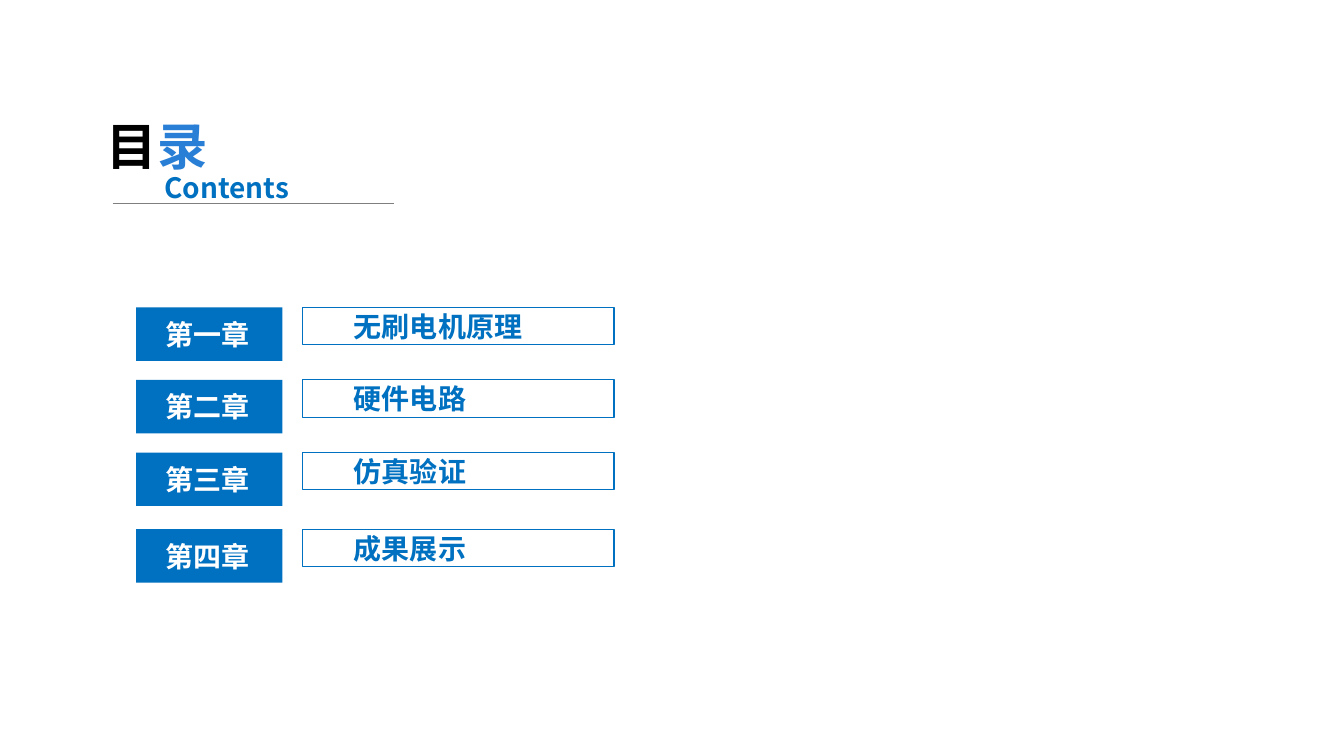
from dataclasses import dataclass

import pptx
import pptx.dml.color
import pptx.enum.shapes
import pptx.enum.text
import pptx.oxml.ns
import pptx.shapes.autoshape
import pptx.slide
import pptx.text.text
import pptx.util
from lxml import etree
from pptx.util import Inches

BLUE = pptx.dml.color.RGBColor(0x00, 0x70, 0xC0)
LIGHT_BLUE = pptx.dml.color.RGBColor(0x29, 0x7F, 0xD5)
GRAY = pptx.dml.color.RGBColor(0x7F, 0x7F, 0x7F)
BLACK = pptx.dml.color.RGBColor(0x00, 0x00, 0x00)
WHITE = pptx.dml.color.RGBColor(0xFF, 0xFF, 0xFF)
FONT = "Noto Sans CJK SC"


@dataclass(frozen=True)
class Chapter:
    number: str
    topic: str
    top: float


CHAPTERS = [
    Chapter("第一章", "无刷电机原理", 3.05),
    Chapter("第二章", "硬件电路", 3.77),
    Chapter("第三章", "仿真验证", 4.49),
    Chapter("第四章", "成果展示", 5.25),
]


def format_paragraph(
    paragraph: pptx.text.text._Paragraph,
    size: int,
    color: pptx.dml.color.RGBColor,
) -> None:
    """Left-align the paragraph and set its font for Latin and Chinese text."""
    paragraph.alignment = pptx.enum.text.PP_ALIGN.LEFT
    font = paragraph.font
    font.size = pptx.util.Pt(size)
    font.bold = True
    font.color.rgb = color
    font.name = FONT
    defaults = paragraph._p.pPr.find(pptx.oxml.ns.qn("a:defRPr"))
    etree.SubElement(defaults, pptx.oxml.ns.qn("a:ea"), typeface=FONT)


def add_box(
    slide: pptx.slide.Slide,
    text: str,
    left: float,
    top: float,
    width: float,
    height: float,
    indent: float,
    color: pptx.dml.color.RGBColor,
) -> pptx.shapes.autoshape.Shape:
    """Add a rectangle with vertically centred text, indented from the left."""
    box = slide.shapes.add_shape(
        pptx.enum.shapes.MSO_SHAPE.RECTANGLE,
        Inches(left), Inches(top), Inches(width), Inches(height),
    )
    box.shadow.inherit = False
    frame = box.text_frame
    frame.word_wrap = True
    frame.vertical_anchor = pptx.enum.text.MSO_ANCHOR.MIDDLE
    frame.margin_left = Inches(indent)
    frame.margin_right = frame.margin_top = frame.margin_bottom = 0
    frame.text = text
    format_paragraph(frame.paragraphs[0], 20, color)
    return box


def add_chapter(slide: pptx.slide.Slide, chapter: Chapter) -> None:
    """Add the filled number box and the outlined topic box of a chapter."""
    topic = add_box(slide, chapter.topic, 3, chapter.top, 3.09, 0.37, 0.51, BLUE)
    topic.fill.background()
    topic.line.color.rgb = BLUE
    topic.line.width = pptx.util.Pt(0.75)

    number = add_box(slide, chapter.number, 1.35, chapter.top, 1.45, 0.53, 0.29, WHITE)
    number.fill.solid()
    number.fill.fore_color.rgb = BLUE
    number.line.fill.background()


def add_heading(slide: pptx.slide.Slide) -> None:
    """Add the two-colour title, its English subtitle and the rule below."""
    title = slide.shapes.title
    title.left, title.top = Inches(0.96), Inches(1.09)
    title.width, title.height = Inches(1.57), Inches(0.71)
    title.text_frame.auto_size = pptx.enum.text.MSO_AUTO_SIZE.NONE
    title.text_frame.vertical_anchor = pptx.enum.text.MSO_ANCHOR.TOP
    paragraph = title.text_frame.paragraphs[0]
    for character, color in (("目", BLACK), ("录", LIGHT_BLUE)):
        run = paragraph.add_run()
        run.text = character
        run.font.color.rgb = color
    format_paragraph(paragraph, 36, BLACK)

    subtitle = slide.shapes.add_textbox(
        Inches(1.53), Inches(1.64), Inches(1.57), Inches(0.44)
    )
    subtitle.text_frame.word_wrap = True
    subtitle.text_frame.text = "Contents"
    format_paragraph(subtitle.text_frame.paragraphs[0], 20, BLUE)

    rule = slide.shapes.add_connector(
        pptx.enum.shapes.MSO_CONNECTOR.STRAIGHT,
        Inches(1.12), Inches(2.02), Inches(3.91), Inches(2.02),
    )
    rule.line.color.rgb = GRAY
    rule.line.width = pptx.util.Pt(0.5)
    etree.SubElement(rule._element.spPr, pptx.oxml.ns.qn("a:effectLst"))


def main() -> None:
    presentation = pptx.Presentation()
    presentation.slide_width = Inches(13.33)
    presentation.slide_height = Inches(7.5)
    title_only = presentation.slide_layouts[5]
    slide = presentation.slides.add_slide(title_only)

    # Heading
    add_heading(slide)

    # Chapter list
    for chapter in CHAPTERS:
        add_chapter(slide, chapter)

    presentation.save("out.pptx")


if __name__ == "__main__":
    main()
